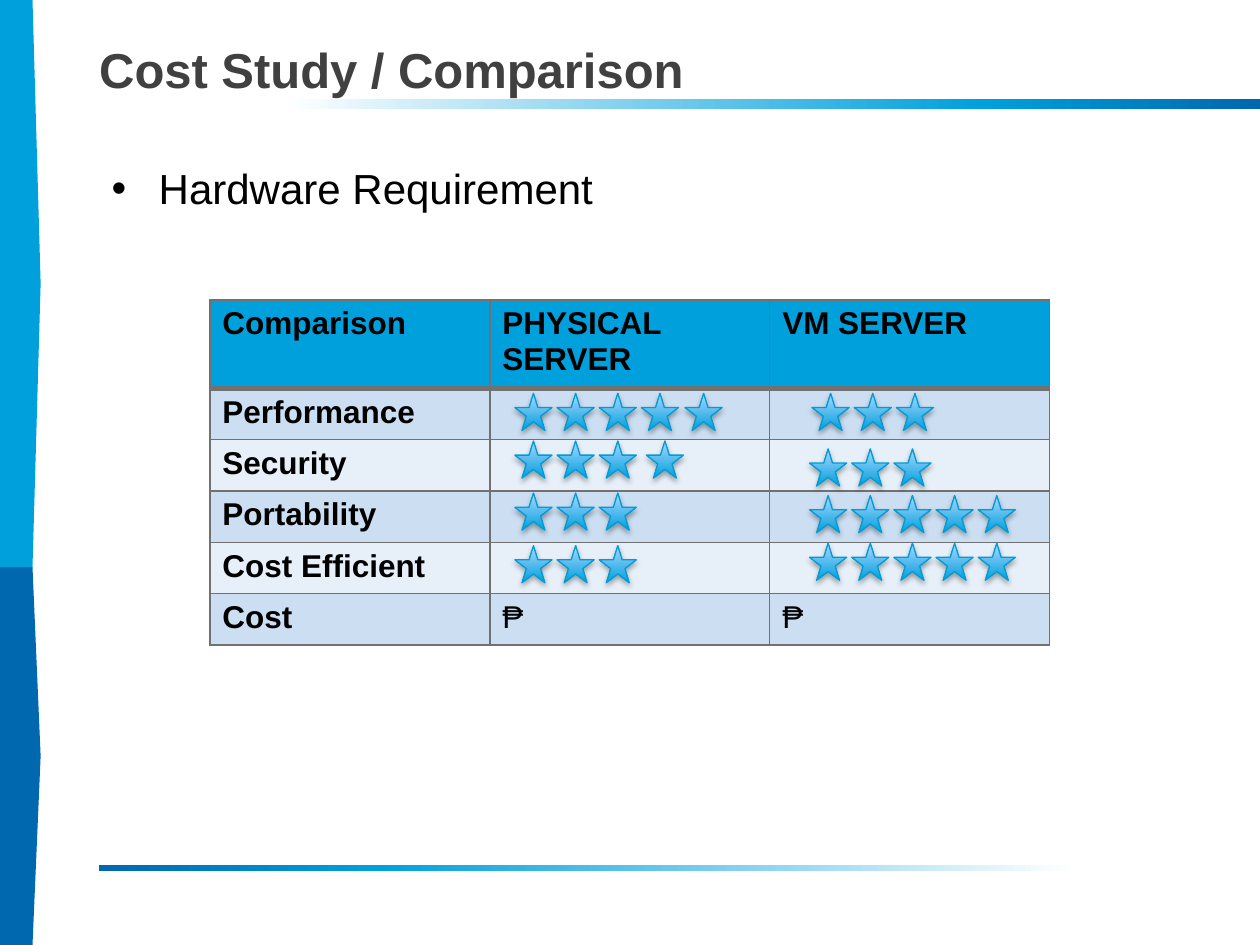
from pptx import Presentation
from pptx.dml.color import RGBColor
from pptx.enum.shapes import MSO_SHAPE as Preset
from pptx.enum.text import MSO_ANCHOR as Anchor
from pptx.oxml import parse_xml
from pptx.oxml.ns import nsdecls, qn
from pptx.util import Cm, Pt

SKY = RGBColor(0x00, 0xA0, 0xDC)
DEEP = RGBColor(0x00, 0x68, 0xAF)
PALE = RGBColor(0xAC, 0xD7, 0xFF)
STAR_EDGE = RGBColor(0x00, 0x9C, 0xD7)
WHITE = RGBColor(0xFF, 0xFF, 0xFF)
BLACK = RGBColor(0x00, 0x00, 0x00)
CHARCOAL = RGBColor(0x40, 0x40, 0x40)
GRID = RGBColor(0x72, 0x71, 0x71)
BAND_DARK = RGBColor(0xCC, 0xDF, 0xF2)
BAND_LIGHT = RGBColor(0xE7, 0xF0, 0xF9)

BAR_STOPS = [(16, WHITE), (76, SKY), (100, DEEP)]
STAR_STOPS = [(0, SKY), (100, PALE)]

TITLE = {"size": Pt(28), "bold": True}
BODY = {"size": Pt(24), "bold": False}
LABEL = {"size": Pt(18), "bold": True}
AMOUNT = {"size": Pt(18), "bold": False}

COMPARISON = [
    ["Comparison", "PHYSICAL SERVER", "VM SERVER"],
    ["Performance", "", ""],
    ["Security", "", ""],
    ["Portability", "", ""],
    ["Cost Efficient", "", ""],
    ["Cost", "₱", "₱"],
]

# Star rows in cm from the table corner: left, top, count, extra gap before the last star
RATINGS = [
    (6.15, 1.88, 5, 0.03), (6.15, 2.84, 4, 0.1), (6.15, 3.89, 3, 0), (6.15, 4.95, 3, 0),
    (12.14, 1.88, 3, 0), (12.09, 3.0, 3, 0), (12.09, 3.94, 5, 0), (12.09, 4.9, 5, 0),
]
STAR_SIZE, STAR_STEP = 0.75, 0.85


def write(frame, text, formats, color):
    frame.word_wrap = True
    paragraph = frame.paragraphs[0]
    run = paragraph.add_run()
    run.text = text
    run.font.name = "Arial"
    run.font.color.rgb = color
    for name, value in formats.items():
        setattr(run.font, name, value)
    return paragraph


def add_plain(slide, preset, left, top, width, height):
    shape = slide.shapes.add_shape(preset, Cm(left), Cm(top), Cm(width), Cm(height))
    shape.shadow.inherit = False
    shape.line.fill.background()
    return shape


def fill_gradient(shape, stops, angle):
    marks = "".join(
        f'<a:gs pos="{position * 1000}"><a:srgbClr val="{color}"/></a:gs>'
        for position, color in stops)
    shape._element.spPr.find(qn("a:prstGeom")).addnext(parse_xml(
        f'<a:gradFill rotWithShape="1" {nsdecls("a")}><a:gsLst>{marks}</a:gsLst>'
        f'<a:lin ang="{angle * 60000}" scaled="0"/></a:gradFill>'))


def add_side_strip(slide, left, top, width, height):
    # Two pennants turned on their side; the upper takes 60 % of the height
    upper = height * 0.6
    for y, length, color in [(top + upper, height - upper, DEEP), (top, upper, SKY)]:
        pennant = add_plain(slide, Preset.FLOWCHART_OFFPAGE_CONNECTOR,
                            left + (width - length) / 2, y + (length - width) / 2,
                            length, width)
        pennant.rotation = 270
        pennant.fill.solid()
        pennant.fill.fore_color.rgb = color


def add_bar(slide, left, top, width, height, rotation=0):
    bar = add_plain(slide, Preset.RECTANGLE, left, top, width, height)
    bar.rotation = rotation
    fill_gradient(bar, BAR_STOPS, 0)


def add_title(slide, left, top, width, height):
    frame = slide.shapes.add_textbox(Cm(left), Cm(top), Cm(width), Cm(height)).text_frame
    margins = dict.fromkeys(["margin_left", "margin_top", "margin_right", "margin_bottom"], 0)
    for name, value in {**margins, "vertical_anchor": Anchor.BOTTOM}.items():
        setattr(frame, name, value)
    write(frame, "Cost Study / Comparison", TITLE, CHARCOAL)


def add_bullet(slide, left, top, width, height):
    frame = slide.shapes.add_textbox(Cm(left), Cm(top), Cm(width), Cm(height)).text_frame
    properties = write(frame, "Hardware Requirement", BODY, BLACK)._p.get_or_add_pPr()
    indent = Cm(0.95)
    properties.set("marL", str(indent))
    properties.set("indent", str(-indent))
    for bullet in ['<a:buFont typeface="Arial" {}/>', '<a:buChar char="•" {}/>']:
        properties.append(parse_xml(bullet.format(nsdecls("a"))))


def set_borders(cell, widths):
    for side in ("L", "R", "T", "B"):
        cell._tc.get_or_add_tcPr().append(parse_xml(
            f'<a:ln{side} w="{Pt(widths.get(side, 1))}" {nsdecls("a")}>'
            f'<a:solidFill><a:srgbClr val="{GRID}"/></a:solidFill></a:ln{side}>'))


def add_comparison(slide, left, top, width, height):
    table = slide.shapes.add_table(len(COMPARISON), len(COMPARISON[0]), Cm(left), Cm(top),
                                   Cm(width), Cm(height)).table
    for column in table.columns:
        column.width = Cm(width / len(COMPARISON[0]))
    heading = 1.27
    for r, texts in enumerate(COMPARISON):
        table.rows[r].height = Cm((height - heading) / (len(COMPARISON) - 1) if r else heading)
        thick = {0: {"B": 3}, 1: {"T": 3}}.get(r, {})
        fill = SKY if r == 0 else BAND_DARK if r % 2 else BAND_LIGHT
        for c, text in enumerate(texts):
            cell = table.cell(r, c)
            set_borders(cell, thick)
            cell.fill.solid()
            cell.fill.fore_color.rgb = fill
            if text:
                write(cell.text_frame, text, AMOUNT if text == "₱" else LABEL, BLACK)
    # Ratings lie over the table
    for x, y, count, extra in RATINGS:
        for i in range(count):
            shift = extra if i == count - 1 else 0
            add_star(slide, left + x + i * STAR_STEP + shift, top + y, STAR_SIZE)


def add_star(slide, left, top, size):
    star = add_plain(slide, Preset.STAR_5_POINT, left, top, size, size)
    fill_gradient(star, STAR_STOPS, 270)
    star.line.color.rgb = STAR_EDGE
    star.line.width = Pt(0.75)
    star._element.spPr.find(qn("a:effectLst")).append(parse_xml(
        f'<a:outerShdw blurRad="{Pt(3.1)}" dist="{Pt(1.8)}" dir="5400000" rotWithShape="0" '
        f'{nsdecls("a")}><a:srgbClr val="{BLACK}"><a:alpha val="35000"/></a:srgbClr>'
        '</a:outerShdw>'))


def main():
    deck = Presentation()
    deck.slide_width, deck.slide_height = Cm(25.4), Cm(19.05)
    slide = deck.slides.add_slide(deck.slide_layouts[6])
    # Frame of the page
    add_bar(slide, 2, 2, 23.4, 0.2)
    add_side_strip(slide, 0, 0, 0.82, 19.05)
    add_bar(slide, 2, 17.44, 23.4, 0.12, rotation=180)
    # Content
    add_title(slide, 2, 0.08, 22.9, 1.9)
    add_comparison(slide, 4.23, 6.05, 16.93, 6.44)
    add_bullet(slide, 2, 3.15, 12.1, 2.3)
    deck.save("out.pptx")


if __name__ == "__main__":
    main()
